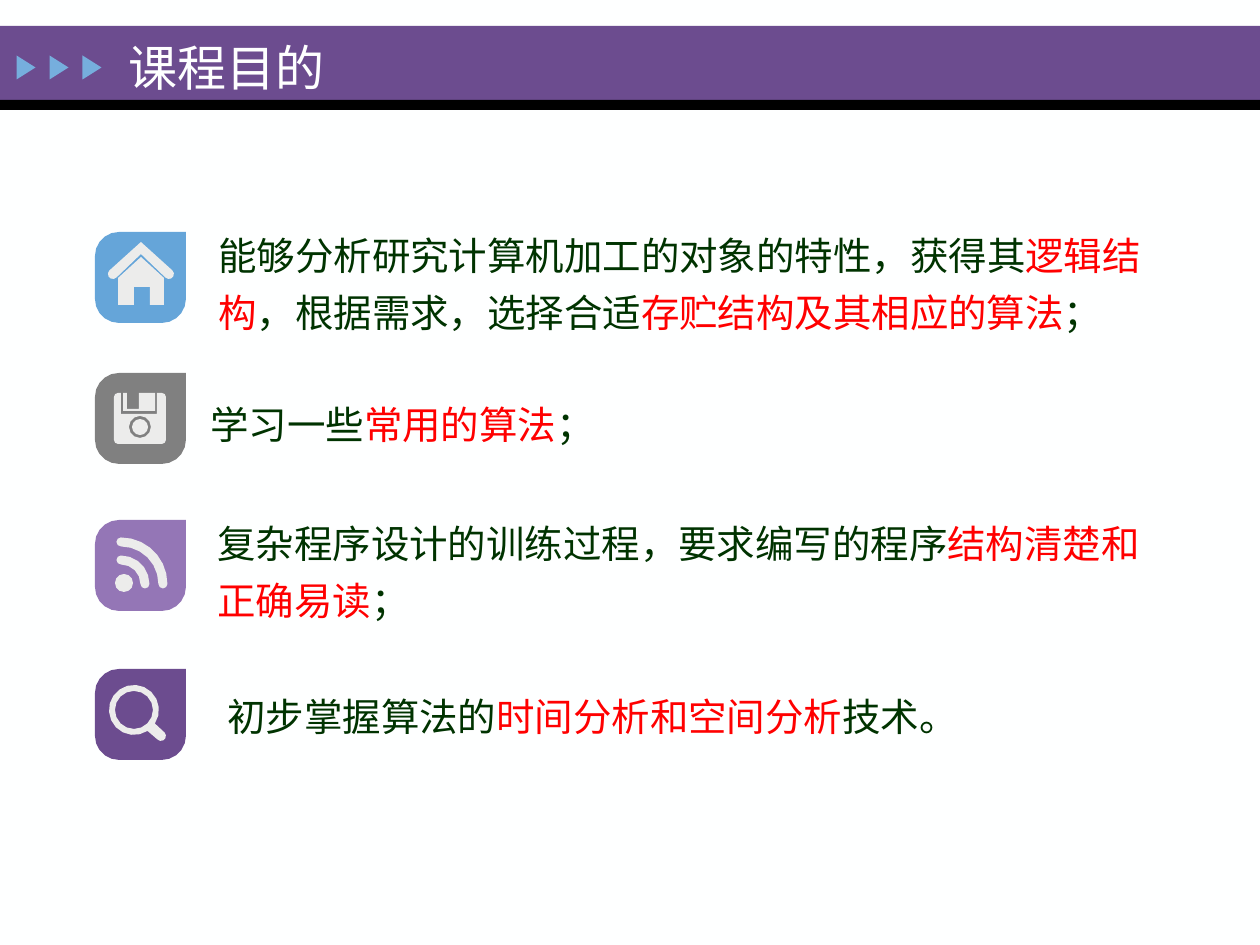
import math

import pptx
import pptx.dml.color
import pptx.enum.shapes
import pptx.enum.text
import pptx.util

PX = 914400 / 126  # EMU per px
SLIDE_WIDTH, SLIDE_HEIGHT = 1260, 945
SHAPES = pptx.enum.shapes.MSO_SHAPE
COLORS = {
    "background": "FEFFFF", "band": "6C4C8F", "rule": "000000", "arrow": "76AEDD",
    "text": "003300", "emphasis": "FF0000", "symbol": "ECECEB",
    "blue": "65A5D9", "grey": "808080", "lilac": "9476B6", "purple": "6C4C8F",
}
TITLE_FORMAT = {"size": pptx.util.Pt(28), "name": "Times New Roman"}
GOAL_FORMAT = {"size": pptx.util.Pt(22), "name": "Times New Roman"}
TILE_LEFT, TILE_SIZE, TILE_RADIUS = 95, 91, 24


def emu(px):
    return pptx.util.Emu(round(px * PX))


def rgb(color):
    return pptx.dml.color.RGBColor.from_string(COLORS[color])


def paint(shape, color):
    shape.fill.solid()
    shape.fill.fore_color.rgb = rgb(color)
    shape.line.fill.background()
    shape.shadow.inherit = False


def format_font(font, values, color):
    for attribute, value in values.items():
        setattr(font, attribute, value)
    font.color.rgb = rgb(color)


def add_preset(slide, preset, box, color):
    shape = slide.shapes.add_shape(preset, *map(emu, box))
    paint(shape, color)
    return shape


def arc(x, y, radius, start, end):
    """Points on a circle, in degrees clockwise from the right; small arcs need few."""
    steps = math.ceil(abs(end - start) * math.sqrt(radius) / 100)
    angles = [math.radians(start + (end - start) * i / steps) for i in range(steps + 1)]
    return [(x + radius * math.cos(a), y + radius * math.sin(a)) for a in angles]


def add_outline(slide, top, color, *contours):
    """Closed contours, measured from the tile's top left corner; inner ones are holes."""
    placed = [[(emu(TILE_LEFT + x), emu(top + y)) for x, y in contour]
              for contour in contours]
    builder = slide.shapes.build_freeform(*placed[0][0], scale=1.0)
    builder.add_line_segments(placed[0][1:], close=True)
    for hole in placed[1:]:
        builder.move_to(*hole[0])
        builder.add_line_segments(hole[1:], close=True)
    paint(builder.convert_to_shape(), color)


def add_tile(slide, top, color):
    r, far = TILE_RADIUS, TILE_SIZE - TILE_RADIUS
    add_outline(slide, top, color,
                [(TILE_SIZE, 0)] + arc(far, far, r, 0, 90)
                + arc(r, far, r, 90, 180) + arc(r, r, r, 180, 270))


def add_disc(slide, top, x, y, radius):
    box = (TILE_LEFT + x - radius, top + y - radius, 2 * radius, 2 * radius)
    add_preset(slide, SHAPES.OVAL, box, "symbol")


def add_house(slide, top):
    roof = [(46, 10)] + arc(74, 42, 5, -45, 135) + [(46, 22)] + arc(18, 42, 5, 45, 225)
    walls = [(23, 46), (23, 73), (39, 73), (39, 55), (55, 55),
             (55, 73), (69, 73), (69, 46), (46, 25)]
    for part in (roof, walls):
        add_outline(slide, top, "symbol", part)


def add_floppy(slide, top):
    shutter = [(60, 20), (44, 20), (44, 36), (32, 36), (32, 20), (28, 20), (28, 38), (60, 38)]
    case = ([(26, 20), (26, 41), (62, 41), (62, 20)]
            + arc(67, 24, 4, -90, 0) + arc(67, 67, 4, 0, 90)
            + arc(23, 67, 4, 90, 180) + arc(23, 24, 4, 180, 270))
    add_outline(slide, top, "symbol", shutter)
    add_outline(slide, top, "symbol", case, arc(45, 54, 11, 0, 360))
    add_disc(slide, top, 45, 54, 8)


def add_feed(slide, top):
    x, y, half = 26, 64, 4.5
    add_disc(slide, top, 29, 63, 9)
    for radius in (24, 42):
        add_outline(slide, top, "symbol",
                    arc(x, y, radius + half, -90, 0) + arc(x + radius, y, half, 0, 180)
                    + arc(x, y, radius - half, 0, -90) + arc(x, y - radius, half, 90, 270))


def add_magnifier(slide, top):
    add_outline(slide, top, "symbol",
                arc(39, 41, 25, 57, 393) + arc(66, 67, 5, -45, 135),
                arc(39, 41, 19, 0, 360))


def add_goal(slide, box, runs):
    frame = slide.shapes.add_textbox(*map(emu, box)).text_frame
    frame.word_wrap = True
    paragraph = frame.paragraphs[0]
    paragraph.line_spacing = 1.25
    for wording, color in zip(runs, ("text", "emphasis") * len(runs)):
        run = paragraph.add_run()
        run.text = wording
        format_font(run.font, GOAL_FORMAT, color)


def add_header(slide, heading):
    add_preset(slide, SHAPES.RECTANGLE, (0, 26, SLIDE_WIDTH, 74), "band")
    add_preset(slide, SHAPES.RECTANGLE, (0, 100, SLIDE_WIDTH, 10), "rule")
    for i in range(3):
        arrow = add_preset(slide, SHAPES.ISOSCELES_TRIANGLE, (14 + 33 * i, 58, 24, 19), "arrow")
        arrow.rotation = 90

    title = slide.shapes.title
    for side, px in {"left": 116, "top": 35, "width": 882, "height": 63}.items():
        setattr(title, side, emu(px))
    frame = title.text_frame
    frame.text = heading
    frame.auto_size = pptx.enum.text.MSO_AUTO_SIZE.NONE
    frame.vertical_anchor = pptx.enum.text.MSO_ANCHOR.MIDDLE
    frame.paragraphs[0].alignment = pptx.enum.text.PP_ALIGN.LEFT
    format_font(frame.paragraphs[0].runs[0].font, TITLE_FORMAT, "background")
    # Bring the title in front of the band
    slide.shapes.element.append(title.element)


def main():
    deck = pptx.Presentation()
    deck.slide_width, deck.slide_height = emu(SLIDE_WIDTH), emu(SLIDE_HEIGHT)
    slide = deck.slides.add_slide(deck.slide_layouts[5])
    slide.background.fill.solid()
    slide.background.fill.fore_color.rgb = rgb("background")
    add_header(slide, "课程目的")

    # Tile top, tile colour, symbol, text box, runs with every second one emphasised
    goals = [
        (232, "blue", add_house, (206, 214, 982, 100),
         ["能够分析研究计算机加工的对象的特性，获得其", "逻辑结构",
          "，根据需求，选择合适", "存贮结构及其相应的算法", "；"]),
        (373, "grey", add_floppy, (198, 383, 470, 91),
         ["学习一些", "常用的算法", "；"]),
        (520, "lilac", add_feed, (205, 502, 982, 142),
         ["复杂程序设计的训练过程，要求编写的程序", "结构清楚和正确易读", "；"]),
        (669, "purple", add_magnifier, (215, 675, 982, 86),
         ["初步掌握算法的", "时间分析和空间分析", "技术。"]),
    ]
    for top, color, add_symbol, box, runs in goals:
        add_tile(slide, top, color)
        add_symbol(slide, top)
        add_goal(slide, box, runs)

    deck.save("out.pptx")


if __name__ == "__main__":
    main()
